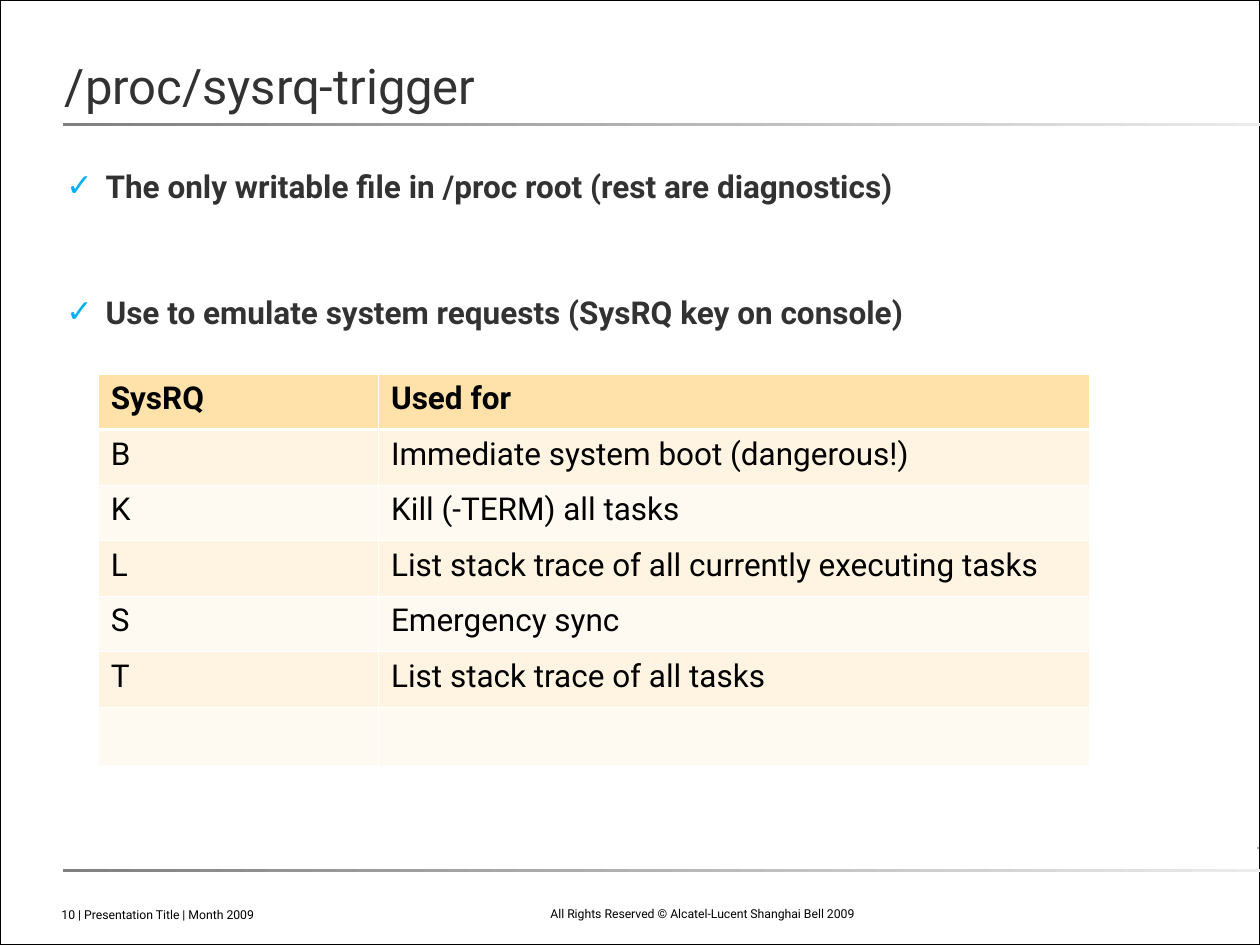
from lxml import etree
from pptx import Presentation
from pptx import util as u
from pptx.dml.color import RGBColor
from pptx.enum import shapes, text
from pptx.oxml import parse_xml
from pptx.oxml.ns import nsdecls, qn

FONT = "Roboto"


def rgb(value):
    return RGBColor.from_string(value)


def write(p, words, size, color="000000", bold=False):
    r = p.add_run()
    r.text = words
    for name, value in dict(name=FONT, size=u.Pt(size), bold=bold).items():
        setattr(r.font, name, value)
    r.font.color.rgb = rgb(color)


prs = Presentation()
prs.slide_width, prs.slide_height = u.Cm(25.4), u.Cm(19.05)
s = prs.slides.add_slide(prs.slide_layouts[6])
s.background.fill.solid()
s.background.fill.fore_color.rgb = rgb("FFFFFF")

# Slide frame
sp = s.shapes.add_shape(shapes.MSO_SHAPE.RECTANGLE, 0, 0, prs.slide_width, prs.slide_height)
sp.shadow.inherit = False
sp.fill.background()
sp.line.color.rgb = rgb("000000")
sp.line.width = u.Pt(1)

# Small edge mark, then the fading rules under the title and above the footer
for box, end in (
    ((25.35, 17.07, 0.03, 0.05), "D7D7D7"),
    ((1.27, 2.49, 24.13, 0.06), "EBEBEB"),
    ((1.27, 17.52, 24.13, 0.06), "EBEBEB"),
):
    sp = s.shapes.add_shape(shapes.MSO_SHAPE.RECTANGLE, *map(u.Cm, box))
    sp.shadow.inherit = False
    sp.line.fill.background()
    sp.fill.gradient()
    sp.fill.gradient_angle = 0
    for stop, color in zip(sp.fill.gradient_stops, ("808080", end)):
        stop.color.rgb = rgb(color)

# Title and body
frames = []
for box, anchor in (
    ((1.31, 1.29, 22.8, 1.02), text.MSO_ANCHOR.BOTTOM),
    ((1.34, 3.28, 22.94, 13.97), text.MSO_ANCHOR.TOP),
):
    tf = s.shapes.add_textbox(*map(u.Cm, box)).text_frame
    for name, value in dict(word_wrap=True, vertical_anchor=anchor, margin_left=0,
                            margin_top=0, margin_right=0, margin_bottom=0).items():
        setattr(tf, name, value)
    frames.append(tf)
title, body = frames

p = title.paragraphs[0]
p.line_spacing = u.Pt(26)
write(p, "/proc/sysrq-trigger", 28, "323232")

points = (
    "The only writable file in /proc root (rest are diagnostics)",
    "Use to emulate system requests (SysRQ key on console)",
)
for i, words in enumerate(points):
    p = body.add_paragraph() if i else body.paragraphs[0]
    p.line_spacing = u.Pt(24)
    p.space_after = u.Pt(48)
    pPr = p._p.get_or_add_pPr()
    pPr.set("marL", str(u.Cm(0.79)))
    pPr.set("indent", str(-u.Cm(0.79)))
    color = etree.SubElement(pPr, qn("a:buClr"))
    etree.SubElement(color, qn("a:srgbClr"), val="00B0F0")
    etree.SubElement(pPr, qn("a:buFont"), typeface=FONT)
    etree.SubElement(pPr, qn("a:buChar"), char="✓")
    write(p, words, 18, "323232", bold=True)

# Footer
for box, align, words in (
    ((0.99, 18.14, 8.86, 0.58), text.PP_ALIGN.LEFT, "10 | Presentation Title | Month 2009"),
    ((10.16, 18.06, 8, 0.64), text.PP_ALIGN.CENTER,
     "All Rights Reserved © Alcatel-Lucent Shanghai Bell 2009"),
):
    tf = s.shapes.add_textbox(*map(u.Cm, box)).text_frame
    tf.word_wrap = True
    tf.vertical_anchor = text.MSO_ANCHOR.BOTTOM
    tf.paragraphs[0].alignment = align
    write(tf.paragraphs[0], words, 7)

# Table of system requests
rows = (
    ("SysRQ", "Used for"),
    ("B", "Immediate system boot (dangerous!)"),
    ("K", "Kill (-TERM) all tasks"),
    ("L", "List stack trace of all currently executing tasks"),
    ("S", "Emergency sync"),
    ("T", "List stack trace of all tasks"),
    ("", ""),
)
table = s.shapes.add_table(len(rows), 2, u.Cm(1.98), u.Cm(7.54), u.Cm(19.98), u.Cm(7.21)).table
for column, width in zip(table.columns, (5.65, 14.33)):
    column.width = u.Cm(width)
for i, row in enumerate(rows):
    table.rows[i].height = u.Cm(1.17 if i == len(rows) - 1 else 1.12)
    fill = "FFE2AA" if i == 0 else ("FFFAF1", "FFF4E2")[i % 2]
    borders = dict(L=0.45, R=0.45, T=1.47 if i == 1 else 0.45, B=1.47 if i == 0 else 0.45)
    for cell, words in zip(table.rows[i].cells, row):
        cell.fill.solid()
        cell.fill.fore_color.rgb = rgb(fill)
        tcPr = cell._tc.get_or_add_tcPr()
        for k, (side, width) in enumerate(borders.items()):
            tcPr.insert(k, parse_xml(
                f'<a:ln{side} {nsdecls("a")} w="{u.Pt(width)}"><a:solidFill>'
                f'<a:srgbClr val="FFFFFF"/></a:solidFill></a:ln{side}>'))
        if words:
            write(cell.text_frame.paragraphs[0], words, 18, bold=i == 0)

prs.save("out.pptx")
